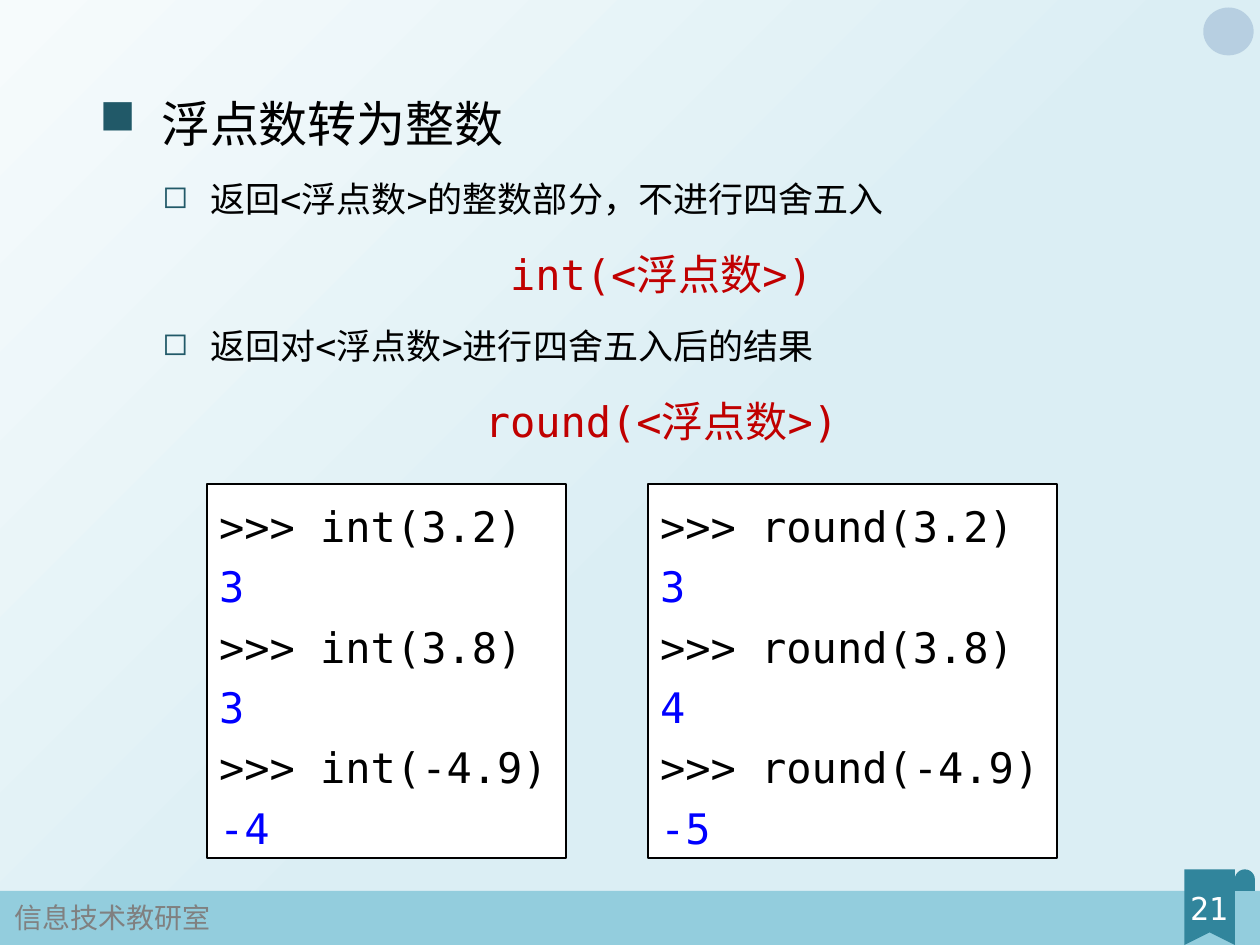
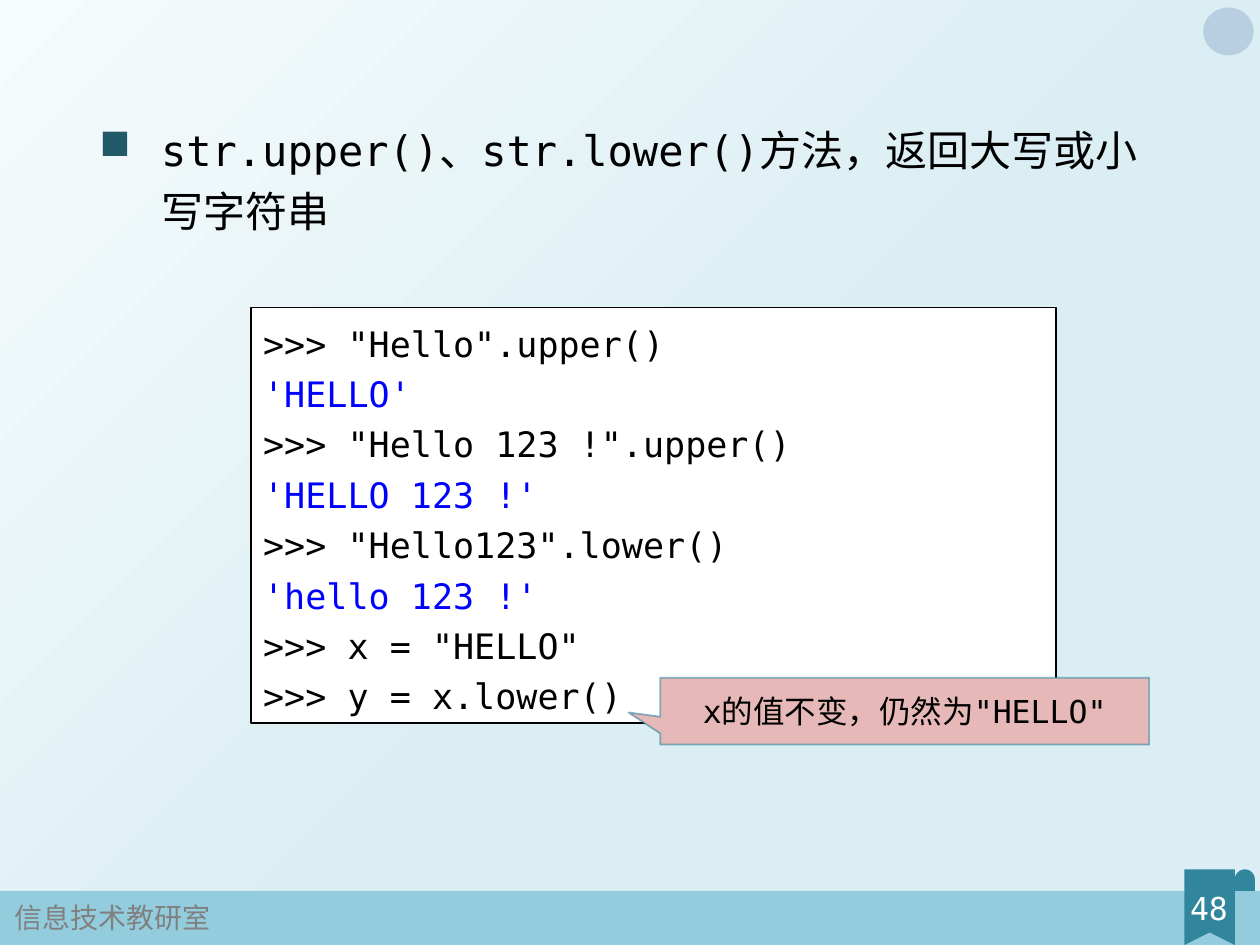
from math import cos, radians, sin
from lxml.etree import SubElement
from pptx import Presentation
from pptx.dml.color import RGBColor
from pptx.enum.shapes import MSO_SHAPE
from pptx.enum.text import MSO_ANCHOR, PP_ALIGN
from pptx.oxml.ns import qn
from pptx.util import Inches, Pt

WIDE, HIGH = Inches(10), Inches(7.5)
CELL = WIDE / 100
MONO, HAN = "DejaVu Sans Mono", "Noto Sans CJK JP"
BLACK, WHITE, GREY = "000000", "FFFFFF", "808080"
TEAL, DEEP, BAND = "31859C", "215968", "93CDDD"
RED, BLUE, PINK = "C00000", "0000FF", "E6B9B8"
PAGE = (0, 0, 100, 75)


def tint(color, code):
    color.rgb = RGBColor.from_string(code)


def fade(mark, share):
    SubElement(mark, qn("a:alpha")).set("val", str(share * 1000))


def cells(*sizes):
    return [round(size * CELL) for size in sizes]


def inset(box, left, top, width, height):
    return box[0] + left, box[1] + top, width, height


def write(part, size, code, font=MONO):
    part.font.size = Pt(size)
    part.font.name = font
    tint(part.font.color, code)
    SubElement(part.font._element, qn("a:ea")).set("typeface", HAN)


def dress(shape, fill, line=None):
    shape.shadow.inherit = False
    shape.fill.solid()
    tint(shape.fill.fore_color, fill)
    if line:
        tint(shape.line.color, line)
        shape.line.width = Pt(1)
    else:
        shape.line.fill.background()
    return shape


def block(slide, box, fill, line=None, kind=MSO_SHAPE.RECTANGLE):
    return dress(slide.shapes.add_shape(kind, *cells(*box)), fill, line)


def label(slide, box, text, size, code, font=MONO, align=PP_ALIGN.LEFT):
    frame = slide.shapes.add_textbox(*cells(*box)).text_frame
    frame.word_wrap = True
    frame.text = text
    line = frame.paragraphs[0]
    line.alignment = align
    write(line.runs[0], size, code, font)


def arc(mid, rise, across, down, start, end):
    turns = [radians(start + (end - start) * step / 8) for step in range(9)]
    return [(mid + across * cos(turn), rise - down * sin(turn)) for turn in turns]


def ribbon(slide, box):
    left, top, width, height = box
    right = left + width
    points = arc(left + 1, top + 0.8, 1, 0.8, 180, 90)
    points += arc(right + 0.4, top + 0.7, 0.4, 0.7, 90, 180)
    points += [(right, top + height), (left + width / 2, top + height - 0.7),
               (left, top + height)]
    path = slide.shapes.build_freeform(*points[0], scale=CELL)
    path.add_line_segments(points[1:])
    dress(path.convert_to_shape(), TEAL)
    curl = block(slide, inset(box, width + 0.2, 0, 1.6, 1.7), TEAL,
                 kind=MSO_SHAPE.ROUND_2_SAME_RECTANGLE)
    curl.adjustments[0] = 0.5


def footer(slide, box, page):
    block(slide, inset(box, 0, 1.7, box[2], 4.3), BAND)
    ribbon(slide, inset(box, 94.1, 0, 3.7, 5.85))
    label(slide, inset(box, 0.2, 2, 20, 3.7), "信息技术教研室", 16, GREY, HAN)
    label(slide, inset(box, 92.4, 1.1, 7.1, 4), page, 18, WHITE,
          align=PP_ALIGN.CENTER)


def base(deck, page):
    slide = deck.slides.add_slide(deck.slide_layouts[6])
    fill = slide.background.fill
    fill.gradient()
    fill.gradient_angle = 315
    for stop, place, code in zip(fill.gradient_stops, (0, 0.56),
                                 ("F6FBFC", "DBEEF4")):
        stop.position = place
        tint(stop.color, code)
    badge = block(slide, (95.5, 0.6, 4, 3.8), "A9C3D9", kind=MSO_SHAPE.OVAL)
    fade(badge.element.spPr.find(".//" + qn("a:srgbClr")), 70)
    footer(slide, (0, 69, 100, 6), page)
    return slide


def bullet(line, sign, share):
    props = line._p.get_or_add_pPr()
    tone = SubElement(props, qn("a:buClr"))
    SubElement(tone, qn("a:srgbClr")).set("val", DEEP)
    SubElement(props, qn("a:buSzPct")).set("val", str(share * 1000))
    SubElement(props, qn("a:buChar")).set("char", sign)


STYLES = {
    "head": (0.49, -0.49, 1.2, 10, "■", 100, BLACK),
    "item": (0.88, -0.38, 1.4, 5, "◻", 90, BLACK),
    "call": (0.5, 0, 1.4, 5, None, 100, RED),
}


def body(slide, box, rows):
    frame = slide.shapes.add_textbox(*cells(*box)).text_frame
    frame.word_wrap = True
    frame.text = "\n".join(text for _, _, text in rows)
    for line, (style, size, _) in zip(frame.paragraphs, rows):
        margin, indent, pitch, gap, sign, share, code = STYLES[style]
        line.line_spacing = pitch
        line.space_before = Pt(gap)
        props = line._p.get_or_add_pPr()
        props.set("marL", str(Inches(margin)))
        props.set("indent", str(Inches(indent)))
        if sign:
            bullet(line, sign, share)
        else:
            line.alignment = PP_ALIGN.CENTER
        write(line.runs[0], size, code)


def shell(slide, box, size, rows):
    frame = block(slide, box, WHITE, BLACK).text_frame
    frame.word_wrap = True
    frame.vertical_anchor = MSO_ANCHOR.TOP
    frame.text = "\n".join(rows)
    for line in frame.paragraphs:
        line.alignment = PP_ALIGN.LEFT
        line.line_spacing = 1.2
        write(line.runs[0], size, BLACK if line.text.startswith(">>>") else BLUE)


def callout(slide, box, text):
    note = block(slide, box, PINK, TEAL, MSO_SHAPE.RECTANGULAR_CALLOUT)
    note.adjustments[0], note.adjustments[1] = -0.565, 0.02
    fade(note.line._ln.find(".//" + qn("a:srgbClr")), 59)
    frame = note.text_frame
    frame.word_wrap = True
    frame.vertical_anchor = MSO_ANCHOR.MIDDLE
    frame.text = text
    frame.paragraphs[0].alignment = PP_ALIGN.CENTER
    write(frame.paragraphs[0].runs[0], 18, BLACK)


def rounding(slide, box):
    body(slide, inset(box, 6.9, 6, 86.2, 30.6), [
        ("head", 28, "浮点数转为整数"),
        ("item", 20, "返回<浮点数>的整数部分，不进行四舍五入"),
        ("call", 24, "int(<浮点数>)"),
        ("item", 20, "返回对<浮点数>进行四舍五入后的结果"),
        ("call", 24, "round(<浮点数>)"),
    ])
    inputs = ("3.2", "3.8", "-4.9")
    for left, width, name, results in (
            (16.4, 28.5, "int", ("3", "3", "-4")),
            (51.4, 32.5, "round", ("3", "4", "-5"))):
        rows = [row for value, result in zip(inputs, results)
                for row in (f">>> {name}({value})", result)]
        shell(slide, inset(box, left, 38.4, width, 29.7), 24, rows)


def casing(slide, box):
    body(slide, inset(box, 6.9, 8.6, 86.2, 10.7), [
        ("head", 24, "str.upper()、str.lower()方法，返回大写或小写字符串"),
    ])
    shell(slide, inset(box, 19.9, 24.4, 63.9, 33), 20, [
        '>>> "Hello".upper()',
        "'HELLO'",
        '>>> "Hello 123 !".upper()',
        "'HELLO 123 !'",
        '>>> "Hello123".lower()',
        "'hello 123 !'",
        '>>> x = "HELLO"',
        ">>> y = x.lower()",
    ])
    callout(slide, inset(box, 52.4, 53.8, 38.8, 5.3), 'x的值不变，仍然为"HELLO"')


def main():
    deck = Presentation()
    deck.slide_width, deck.slide_height = WIDE, HIGH
    for page, fill in (("21", rounding), ("48", casing)):
        fill(base(deck, page), PAGE)
    deck.save("out.pptx")


if __name__ == "__main__":
    main()
